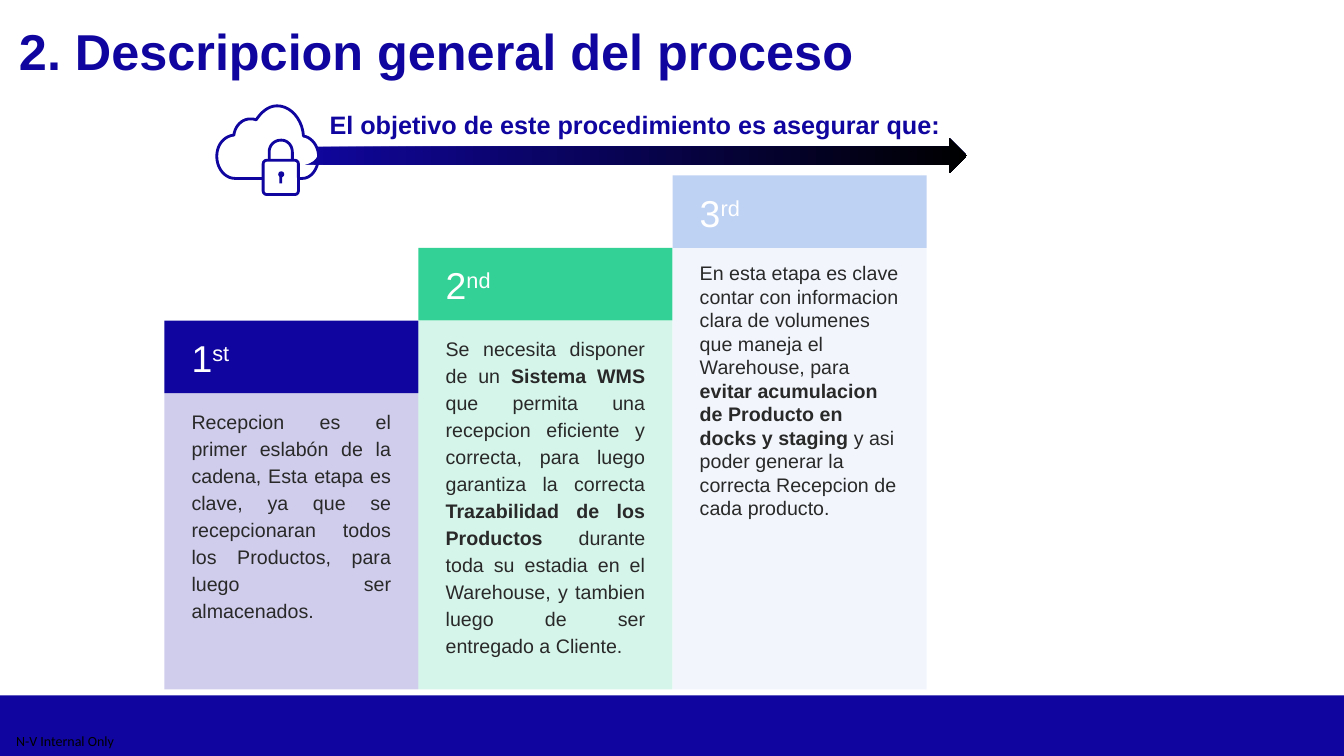
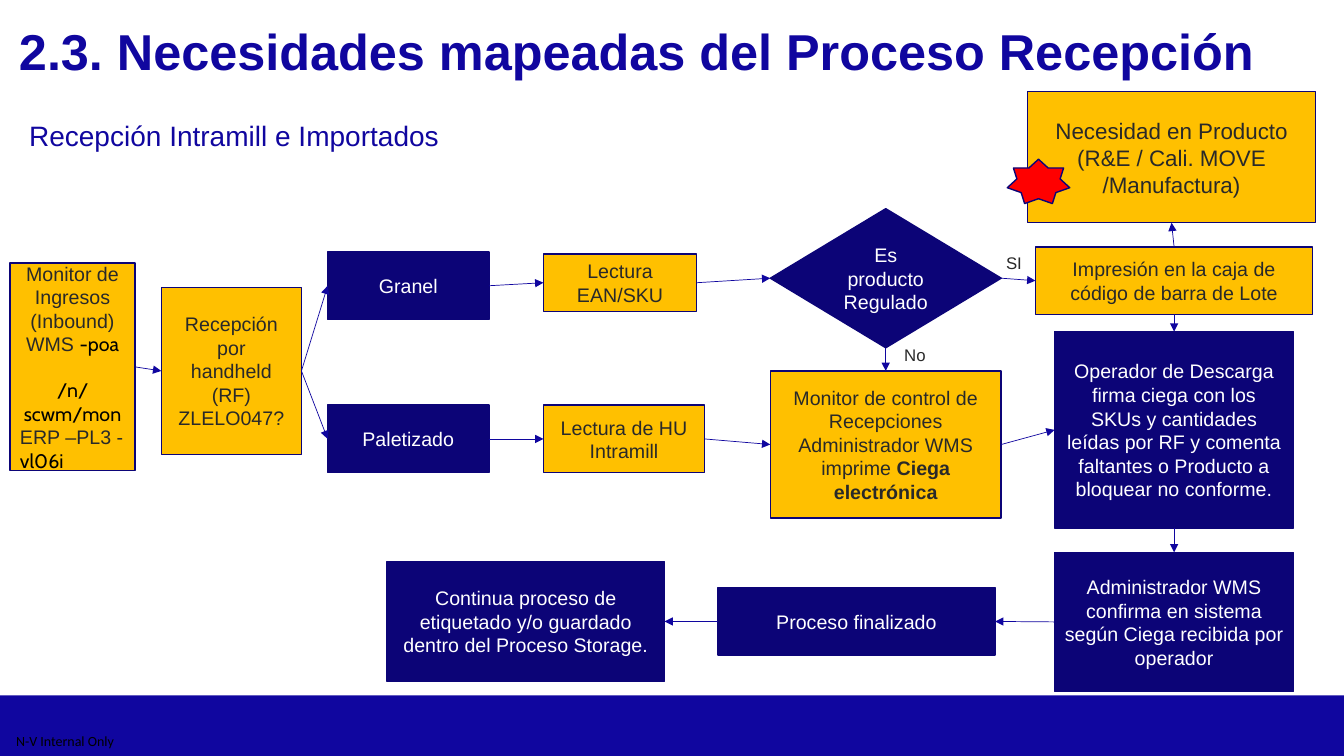
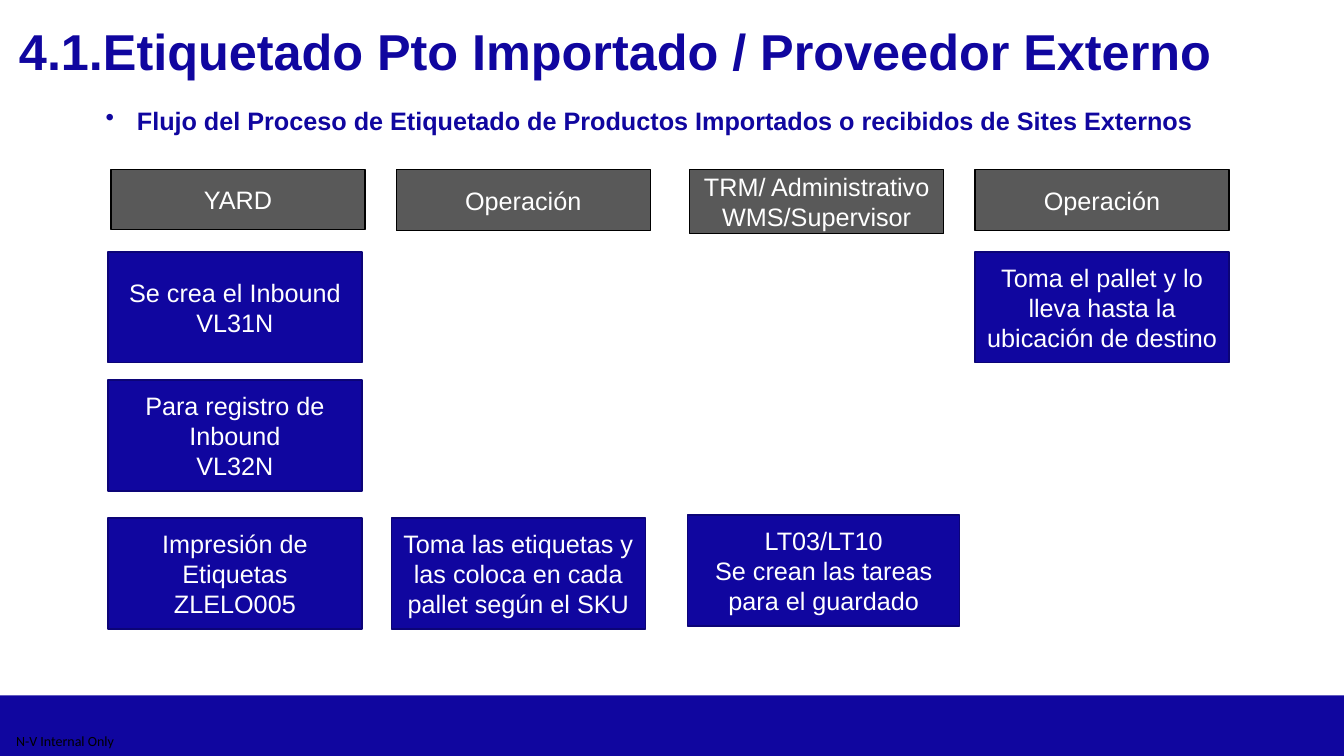
from lxml.etree import SubElement
from pptx import Presentation
from pptx.dml.color import RGBColor
from pptx.enum.shapes import MSO_CONNECTOR as Connector, MSO_SHAPE as Shape
from pptx.enum.text import MSO_ANCHOR as Anchor, PP_ALIGN as Align
from pptx.oxml.ns import qn
from pptx.util import Inches, Pt

COLORS = {
    "blue": "10069F", "navy": "0C0477", "green": "33D196", "sky": "BED2F3",
    "amber": "FFC000", "red": "FF0000", "gray": "595959", "ink": "292929",
    "black": "000000", "white": "FFFFFF",
}
WIDTH, HEIGHT = 13.33, 7.5
DEFAULT_INSETS = (0.1, 0.05)
STEP_INSETS = (0.27, 0.13)
TOP, LEFT, BOTTOM, RIGHT = range(4)
CODE = {"name": "Cabin", "color": "black"}
BOLD = {"bold": True}
SUPERSCRIPT = {"baseline": 30000}


def rgb(name):
    return RGBColor.from_string(COLORS[name])


def set_font(font, name=None, size=None, color=None, bold=None):
    if name:
        font.name = name
    if size:
        font.size = Pt(size)
    if color:
        font.color.rgb = rgb(color)
    if bold is not None:
        font.bold = bold


def add_run(paragraph, text, baseline=None, **style):
    run = paragraph.add_run()
    run.text = text
    set_font(run.font, **style)
    if baseline:
        run.font._element.set("baseline", str(baseline))


def add_bullet(paragraph, indent):
    properties = paragraph._p.get_or_add_pPr()
    properties.set("marL", str(Inches(indent)))
    properties.set("indent", str(-Inches(indent)))
    SubElement(properties, qn("a:buChar")).set("char", "•")


def write(shape, paragraphs, size, color, bold=False, font="Arial", align=Align.LEFT,
          anchor=Anchor.TOP, insets=DEFAULT_INSETS, wrap=True, bullet=None):
    frame = shape.text_frame
    frame.word_wrap = wrap
    frame.vertical_anchor = anchor
    frame.margin_left = frame.margin_right = Inches(insets[0])
    frame.margin_top = frame.margin_bottom = Inches(insets[1])
    for index, pieces in enumerate(paragraphs):
        paragraph = frame.add_paragraph() if index else frame.paragraphs[0]
        paragraph.alignment = align
        if bullet:
            add_bullet(paragraph, bullet)
        set_font(paragraph.font, font, size, color, bold)
        for piece in [pieces] if isinstance(pieces, str) else pieces:
            text, style = (piece, {}) if isinstance(piece, str) else piece
            add_run(paragraph, text, **style)
    return frame


def add_text(slide, box, text, size, color, **options):
    shape = slide.shapes.add_textbox(*map(Inches, box))
    write(shape, [text], size, color, **options)


def style_shape(shape, fill=None, line=None, weight=1):
    shape.shadow.inherit = False
    if fill:
        shape.fill.solid()
        shape.fill.fore_color.rgb = rgb(fill)
    else:
        shape.fill.background()
    if line:
        shape.line.color.rgb = rgb(line)
        shape.line.width = Pt(weight)
    else:
        shape.line.fill.background()
    return shape


def add_block(slide, box, fill=None, line=None, kind=Shape.RECTANGLE, weight=1):
    shape = slide.shapes.add_shape(kind, *map(Inches, box))
    return style_shape(shape, fill, line, weight)


def add_label_block(slide, box, paragraphs, fill, line, size, color, kind=Shape.RECTANGLE):
    shape = add_block(slide, box, fill, line, kind)
    write(shape, paragraphs, size, color, align=Align.CENTER, anchor=Anchor.MIDDLE)
    return shape


def add_arrow(slide, start, start_side, end, end_side):
    connector = slide.shapes.add_connector(Connector.STRAIGHT, 0, 0, 0, 0)
    connector.begin_connect(start, start_side)
    connector.end_connect(end, end_side)
    connector.line.color.rgb = rgb("blue")
    connector.line.width = Pt(0.5)
    SubElement(connector.line._get_or_add_ln(), qn("a:tailEnd")).set("type", "triangle")
    SubElement(connector._element.spPr, qn("a:effectLst"))


def curve_points(start, curves, steps=10):
    points = [start]
    for first, second, end in curves:
        origin = points[-1]
        for step in range(1, steps + 1):
            t = step / steps
            weights = ((1 - t) ** 3, 3 * t * (1 - t) ** 2, 3 * t * t * (1 - t), t ** 3)
            corners = (origin, first, second, end)
            points.append(tuple(sum(w * c[axis] for w, c in zip(weights, corners))
                                for axis in (0, 1)))
    return points


def add_outline(slide, points, close):
    scaled = [(Inches(x), Inches(y)) for x, y in points]
    builder = slide.shapes.build_freeform(*scaled[0])
    builder.add_line_segments(scaled[1:], close=close)
    style_shape(builder.convert_to_shape(), line="blue", weight=2)


def add_cloud_lock(slide):
    for box in ((2.72, 1.16, 0.3, 0.41), (2.79, 1.36, 0.37, 0.28)):
        add_block(slide, box, "white", kind=Shape.OVAL)
    cloud = curve_points((2.33, 1.77), [
        ((2.23, 1.77), (2.15, 1.67), (2.15, 1.55)),
        ((2.15, 1.44), (2.22, 1.35), (2.32, 1.34)),
        ((2.33, 1.25), (2.4, 1.18), (2.48, 1.18)),
        ((2.5, 1.18), (2.52, 1.18), (2.54, 1.19)),
        ((2.6, 1.1), (2.67, 1.05), (2.75, 1.05)),
        ((2.88, 1.05), (3, 1.18), (3.01, 1.35)),
        ((3.09, 1.36), (3.16, 1.45), (3.16, 1.55)),
        ((3.16, 1.67), (3.09, 1.77), (3, 1.77)),
    ])
    add_outline(slide, cloud, True)
    arch = curve_points((2.67, 1.51), [
        ((2.67, 1.44), (2.72, 1.39), (2.79, 1.39)),
        ((2.85, 1.39), (2.9, 1.44), (2.9, 1.51)),
    ])
    add_outline(slide, [(2.67, 1.58), *arch, (2.9, 1.58)], False)
    body = add_block(slide, (2.61, 1.59, 0.35, 0.34), "white", "blue",
                     Shape.ROUNDED_RECTANGLE, 2)
    body.adjustments[0] = 0.1
    add_block(slide, (2.76, 1.7, 0.06, 0.06), "blue", kind=Shape.OVAL)
    add_block(slide, (2.77, 1.74, 0.03, 0.08), "blue")


def add_gradient_arrow(slide, box):
    arrow = add_block(slide, box, "blue", kind=Shape.RIGHT_ARROW)
    arrow.fill.gradient()
    arrow.fill.gradient_angle = 0
    for stop, position, color in zip(arrow.fill.gradient_stops, (0, 1), ("blue", "black")):
        stop.position = position
        stop.color.rgb = rgb(color)


def add_step(slide, index, number, suffix, color, text, justified):
    width, header, bottom = 2.52, 0.72, 6.84
    left = 1.63 + index * width
    top = 3.18 - index * header
    heading = add_block(slide, (left, top, width, header), color)
    write(heading, [[number, (suffix, SUPERSCRIPT)]], 26.7, "white",
          anchor=Anchor.BOTTOM, insets=STEP_INSETS)
    body_top = top + header
    body = add_block(slide, (left, body_top, width, bottom - body_top), color)
    tint = body.fill._xPr.find(qn("a:solidFill"))[0]
    SubElement(tint, qn("a:alpha")).set("val", "20000")
    frame = write(body, [text], 14, "ink", insets=STEP_INSETS,
                  align=Align.JUSTIFY if justified else Align.LEFT)
    if justified:
        frame.paragraphs[0].line_spacing = 1.15


def start_slide(presentation, title):
    slide = presentation.slides.add_slide(presentation.slide_layouts[6])
    add_block(slide, (0, 6.9, WIDTH, 0.6), "blue")
    add_text(slide, (0.16, 7.21, 1.27, 0.29), "N-V Internal Only", 10, "black",
             font="Calibri", anchor=Anchor.MIDDLE, insets=(0, 0))
    add_text(slide, (0.09, 0.15, 13.2, 0.71), title, 36, "blue", bold=True)
    return slide


def build_overview(presentation):
    slide = start_slide(presentation, "2. Descripcion general del proceso")
    add_text(slide, (3.17, 1.04, 6.39, 0.4),
             "El objetivo de este procedimiento es asegurar que:", 18, "blue", bold=True)
    add_gradient_arrow(slide, (2.95, 1.37, 6.64, 0.35))
    steps = [
        ("1", "st", "blue",
         "Recepcion es el primer eslabón de la cadena, Esta etapa es clave, ya que se "
         "recepcionaran todos los Productos, para luego ser almacenados.", True),
        ("2", "nd", "green",
         ["Se necesita disponer de un ", ("Sistema WMS ", BOLD),
          "que permita una recepcion eficiente y correcta, para luego garantiza la correcta ",
          ("Trazabilidad de los Productos ", BOLD),
          "durante toda su estadia en el Warehouse, y tambien luego de ser entregado a "
          "Cliente."], True),
        ("3", "rd", "sky",
         ["En esta etapa es clave contar con informacion clara de volumenes que maneja el "
          "Warehouse, para ",
          ("evitar acumulacion de Producto en docks y staging ", BOLD),
          "y asi poder generar la correcta Recepcion de cada producto."], False),
    ]
    for index, step in enumerate(steps):
        add_step(slide, index, *step)
    add_cloud_lock(slide)


def build_flowchart(presentation):
    slide = start_slide(presentation, "2.3. Necesidades mapeadas del Proceso Recepción")
    add_text(slide, (0.19, 1.13, 7.3, 0.44), "Recepción Intramill e Importados", 20, "blue")
    nodes = {
        "inbound": ((0.1, 2.61, 1.24, 2.06), "amber", [
            "Monitor de Ingresos (Inbound)", ["WMS ", ("-poa", CODE)],
            [("/n/scwm/mon", CODE)], ["ERP –PL3 - ", ("vl06i", CODE)]]),
        "handheld": ((1.6, 2.85, 1.39, 1.66), "amber",
                     ["Recepción por", "handheld (RF)", "ZLELO047?"]),
        "bulk": ((3.25, 2.5, 1.6, 0.67), "navy", ["Granel"]),
        "pallet": ((3.25, 4.02, 1.6, 0.67), "navy", ["Paletizado"]),
        "read_sku": ((5.39, 2.52, 1.52, 0.57), "amber", ["Lectura EAN/SKU"]),
        "read_unit": ((5.39, 4.02, 1.6, 0.67), "amber", ["Lectura de HU", "Intramill"]),
        "regulated": ((7.64, 2.07, 2.29, 1.38), "navy", ["Es producto Regulado"]),
        "monitor": ((7.64, 3.68, 2.29, 1.46), "amber", [
            "Monitor de control de Recepciones",
            ["Administrador WMS imprime ", ("Ciega electrónica", BOLD)]]),
        "print_lot": ((10.27, 2.45, 2.75, 0.67), "amber",
                      ["Impresión en la caja de código de barra de Lote"]),
        "need": ((10.19, 0.91, 2.86, 1.3), "amber",
                 ["Necesidad en Producto", "(R&E / Cali. MOVE /Manufactura)"]),
        "operator": ((10.46, 3.29, 2.37, 1.95), "navy", [
            "Operador de Descarga firma ciega con los SKUs y cantidades leídas por RF y "
            "comenta faltantes o Producto a bloquear no conforme."]),
        "confirm": ((10.46, 5.48, 2.37, 1.38), "navy", [
            "Administrador WMS confirma en sistema según Ciega recibida por operador"]),
        "finished": ((7.12, 5.83, 2.75, 0.67), "navy", ["Proceso finalizado"]),
        "storage": ((3.84, 5.57, 2.75, 1.19), "navy", [
            "Continua proceso de etiquetado y/o guardado dentro del Proceso Storage."]),
    }
    shapes = {}
    for name, (box, fill, paragraphs) in nodes.items():
        shapes[name] = add_label_block(
            slide, box, paragraphs, fill, "navy", 16 if name == "need" else 14,
            "white" if fill == "navy" else "ink",
            Shape.DIAMOND if name == "regulated" else Shape.RECTANGLE)
    inbound_lines = shapes["inbound"].text_frame.paragraphs
    inbound_lines[2].space_before = Pt(16)
    inbound_lines[3].alignment = Align.LEFT

    arrows = [
        ("inbound", RIGHT, "handheld", LEFT), ("handheld", RIGHT, "bulk", LEFT),
        ("handheld", RIGHT, "pallet", LEFT), ("bulk", RIGHT, "read_sku", LEFT),
        ("pallet", RIGHT, "read_unit", LEFT), ("read_sku", RIGHT, "regulated", LEFT),
        ("read_unit", RIGHT, "monitor", LEFT), ("regulated", RIGHT, "print_lot", LEFT),
        ("regulated", BOTTOM, "monitor", TOP), ("print_lot", TOP, "need", BOTTOM),
        ("print_lot", BOTTOM, "operator", TOP), ("monitor", RIGHT, "operator", LEFT),
        ("operator", BOTTOM, "confirm", TOP), ("confirm", LEFT, "finished", RIGHT),
        ("finished", LEFT, "storage", RIGHT),
    ]
    for start, start_side, end, end_side in arrows:
        add_arrow(slide, shapes[start], start_side, shapes[end], end_side)
    add_block(slide, (9.99, 1.58, 0.62, 0.44), "red", "navy", Shape.STAR_7_POINT)
    add_text(slide, (9.88, 2.46, 0.36, 0.3), "SI", 12, "ink", wrap=False)
    add_text(slide, (8.87, 3.37, 0.43, 0.3), "No", 12, "ink", wrap=False)


def build_labeling(presentation):
    slide = start_slide(presentation, "4.1.Etiquetado Pto Importado / Proveedor Externo")
    add_text(slide, (0.95, 1, 11.16, 0.4),
             "Flujo del Proceso de Etiquetado de Productos Importados o recibidos de Sites "
             "Externos", 18, "blue", bold=True, bullet=0.31)
    roles = [
        (1.1, 0.6, "YARD"), (3.93, 0.61, "Operación"),
        (6.84, 0.64, "TRM/ Administrativo WMS/Supervisor"), (9.67, 0.61, "Operación"),
    ]
    for left, height, role in roles:
        add_label_block(slide, (left, 1.68, 2.52, height), [role],
                        "gray", "black", 18, "white")
    tasks = [
        (1.07, 2.5, 2.52, ["Se crea el Inbound", "VL31N"]),
        (1.07, 3.77, 2.52, ["Para registro de Inbound", "VL32N"]),
        (1.07, 5.14, 2.52, ["Impresión de Etiquetas", "ZLELO005"]),
        (3.88, 5.14, 2.52, ["Toma las etiquetas y las coloca en cada pallet según el SKU"]),
        (6.82, 5.11, 2.7, ["LT03/LT10", "Se crean las tareas para el guardado"]),
        (9.67, 2.5, 2.52, ["Toma el pallet y lo lleva hasta la ubicación de destino"]),
    ]
    for left, top, width, paragraphs in tasks:
        add_label_block(slide, (left, top, width, 1.1), paragraphs,
                        "blue", "navy", 18, "white")


def main():
    presentation = Presentation()
    presentation.slide_width = Inches(WIDTH)
    presentation.slide_height = Inches(HEIGHT)
    build_overview(presentation)
    build_flowchart(presentation)
    build_labeling(presentation)
    presentation.save("out.pptx")


if __name__ == "__main__":
    main()
